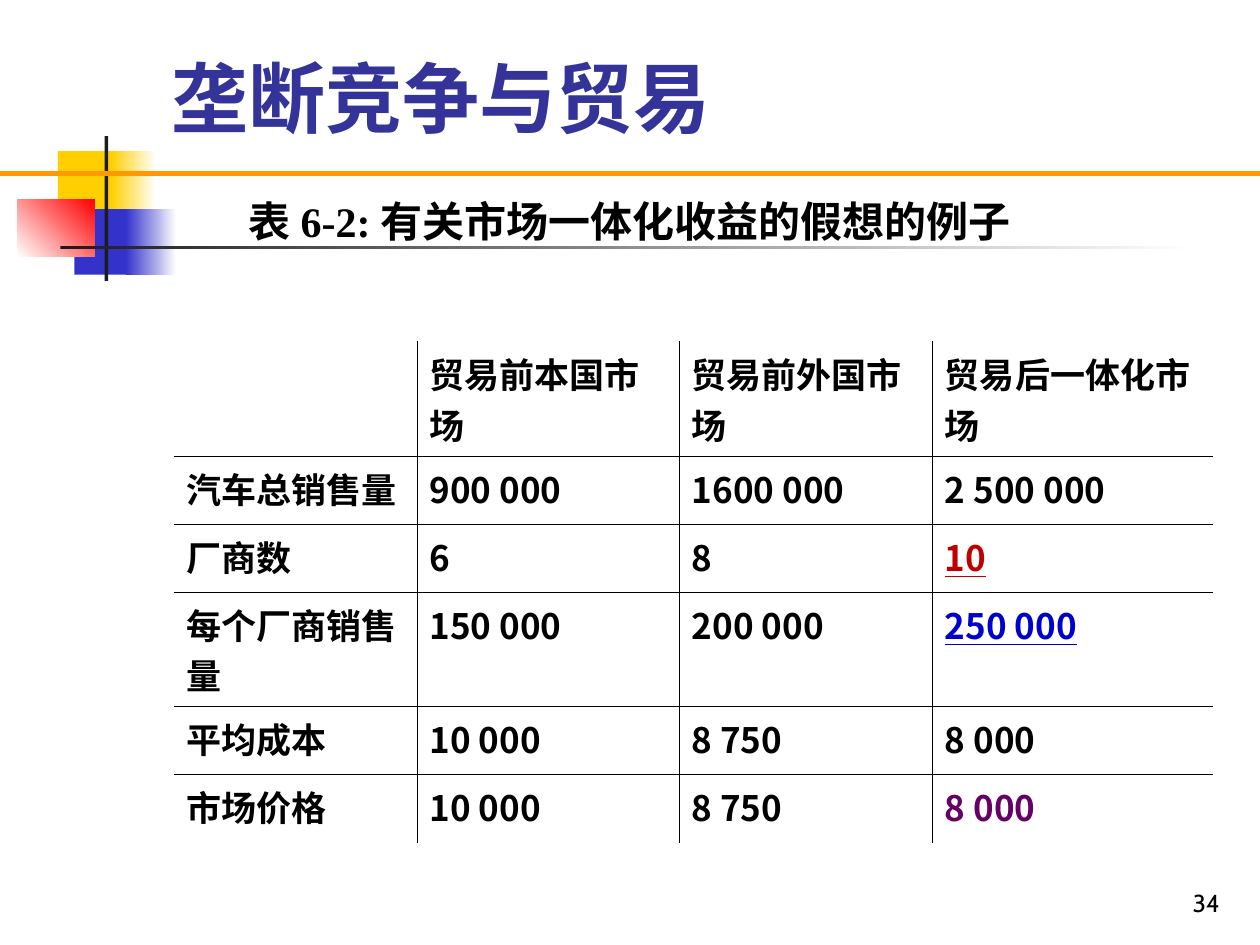
from dataclasses import dataclass
from typing import Optional

from lxml.etree import SubElement
from pptx import Presentation
from pptx.dml.color import RGBColor
from pptx.enum.shapes import MSO_CONNECTOR as Line, MSO_SHAPE as Shape
from pptx.enum.text import MSO_ANCHOR as Anchor, MSO_AUTO_SIZE as Fit, PP_ALIGN as Align
from pptx.oxml.ns import qn
from pptx.util import Inches, Pt


@dataclass(frozen=True)
class Theme:
    """Colours, fonts and type sizes of the slide."""
    white: str = "FFFFFF"
    black: str = "000000"
    title: str = "333399"
    yellow: str = "FFCF01"
    blue: str = "3333CC"
    red: str = "FF0000"
    dark: str = "1C1C1C"
    orange: str = "FF9900"
    firms: str = "C00000"
    output: str = "0000CC"
    price: str = "660066"
    sans: str = "Cabin"
    serif: str = "Times New Roman"
    cjk: str = "Noto Sans CJK SC"
    title_pt: int = 44
    caption_pt: int = 24
    table_pt: int = 20
    number_pt: int = 14
    rule_pt: int = 3
    border_pt: float = 0.45


T = Theme()


@dataclass(frozen=True)
class Block:
    """A plain rectangle, or one fading from color to end."""
    left: float
    top: float
    width: float
    height: float
    color: str
    end: Optional[str] = None
    angle: int = 0


@dataclass(frozen=True)
class Mark:
    """Emphasis of one table cell."""
    color: str = T.black
    underline: bool = False


BLOCKS = [
    Block(0.46, 1.2, 0.48, 0.52, T.yellow),
    Block(0.88, 1.2, 0.36, 0.52, T.yellow, T.white),
    Block(0.59, 1.66, 0.46, 0.52, T.blue),
    Block(1, 1.66, 0.4, 0.52, T.blue, T.white),
    Block(0.14, 1.58, 0.61, 0.46, T.white, T.red, 45),
    Block(0.83, 1.08, 0.03, 1.15, T.dark),
    Block(0.48, 1.95, 9, 0.03, T.dark, T.white),
]
ROWS = [
    ["", "贸易前本国市场", "贸易前外国市场", "贸易后一体化市场"],
    ["汽车总销售量", "900 000", "1600 000", "2 500 000"],
    ["厂商数", "6", "8", "10"],
    ["每个厂商销售量", "150 000", "200 000", "250 000"],
    ["平均成本", "10 000", "8 750", "8 000"],
    ["市场价格", "10 000", "8 750", "8 000"],
]
MARKS = {(2, 3): Mark(T.firms, True), (3, 3): Mark(T.output, True), (5, 3): Mark(T.price)}
COL_WIDTHS = [1.93, 2.08, 2.01, 2.23]
ROW_HEIGHTS = [0.91, 0.54, 0.54, 0.91, 0.54, 0.54]


def write(tf, text: str, font: str, size: int, color: str = T.black,
          align=Align.LEFT, **extra) -> None:
    """Fill a text frame with one formatted run."""
    p = tf.paragraphs[0]
    p.alignment = align
    r = p.add_run()
    r.text = text
    for name, value in {"name": font, "size": Pt(size), **extra}.items():
        setattr(r.font, name, value)
    r.font.color.rgb = RGBColor.from_string(color)
    SubElement(r.font._element, qn("a:ea"), typeface=T.cjk)


def add_block(s, block: Block) -> None:
    """Draw one decorative rectangle."""
    sp = s.shapes.add_shape(Shape.RECTANGLE, Inches(block.left), Inches(block.top),
                            Inches(block.width), Inches(block.height))
    sp.shadow.inherit = False
    sp.line.fill.background()
    if block.end is None:
        sp.fill.solid()
        sp.fill.fore_color.rgb = RGBColor.from_string(block.color)
        return
    sp.fill.gradient()
    sp.fill.gradient_angle = block.angle
    for stop, color in zip(sp.fill.gradient_stops, (block.color, block.end)):
        stop.color.rgb = RGBColor.from_string(color)


def add_rule(s) -> None:
    """Draw the line across the slide."""
    y = Inches(1.38)
    rule = s.shapes.add_connector(Line.STRAIGHT, 0, y, Inches(10), y)
    rule.line.color.rgb = RGBColor.from_string(T.orange)
    rule.line.width = Pt(T.rule_pt)
    SubElement(rule._element.spPr, qn("a:effectLst"))


def add_text(s, left: float, top: float, width: float, height: float,
             text: str, font: str, size: int, align, **extra) -> None:
    """Add a bottom-anchored text box."""
    tf = s.shapes.add_textbox(Inches(left), Inches(top), Inches(width),
                              Inches(height)).text_frame
    tf.word_wrap = True
    tf.vertical_anchor = Anchor.BOTTOM
    write(tf, text, font, size, align=align, **extra)


def set_borders(cell, inner: dict[str, bool]) -> None:
    """Line the inner sides of a cell and leave the outer ones open."""
    tc_pr = cell._tc.get_or_add_tcPr()
    for side, drawn in inner.items():
        ln = SubElement(tc_pr, qn(f"a:ln{side}"), w=str(Pt(T.border_pt)))
        fill = SubElement(ln, qn("a:solidFill" if drawn else "a:noFill"))
        if drawn:
            SubElement(fill, qn("a:srgbClr"), val=T.black)


def add_market_table(s) -> None:
    """Add the table comparing the markets."""
    last_row, last_col = len(ROWS) - 1, len(COL_WIDTHS) - 1
    table = s.shapes.add_table(len(ROWS), len(COL_WIDTHS), Inches(1.38), Inches(2.71),
                               Inches(sum(COL_WIDTHS)), Inches(sum(ROW_HEIGHTS))).table
    table.first_row = table.horz_banding = False
    for col, width in zip(table.columns, COL_WIDTHS):
        col.width = Inches(width)
    for row, height in zip(table.rows, ROW_HEIGHTS):
        row.height = Inches(height)
    for i, values in enumerate(ROWS):
        for j, text in enumerate(values):
            cell = table.cell(i, j)
            set_borders(cell, {"L": j > 0, "R": j < last_col, "T": i > 0, "B": i < last_row})
            cell.fill.background()
            if text:
                mark = MARKS.get((i, j), Mark())
                write(cell.text_frame, text, T.cjk, T.table_pt, mark.color,
                      bold=True, underline=mark.underline)


def add_title(s) -> None:
    """Place and format the slide title."""
    sp = s.shapes.title
    box = {"left": 1.26, "top": 0.23, "width": 8.52, "height": 1.07}
    for name, value in box.items():
        setattr(sp, name, Inches(value))
    tf = sp.text_frame
    tf.auto_size = Fit.NONE
    tf.vertical_anchor = Anchor.MIDDLE
    write(tf, "垄断竞争与贸易", T.sans, T.title_pt, T.title, bold=True)


def main() -> None:
    """Build and save the slide."""
    prs = Presentation()
    prs.slide_width, prs.slide_height = Inches(10), Inches(7.5)
    s = prs.slides.add_slide(prs.slide_layouts[5])
    for block in BLOCKS:
        add_block(s, block)
    add_rule(s)
    add_text(s, 7.7, 6.83, 2.08, 0.5, "34", T.sans, T.number_pt, Align.RIGHT)
    add_text(s, 0, 1.42, 10, 0.58, "表 6-2: 有关市场一体化收益的假想的例子",
             T.serif, T.caption_pt, Align.CENTER, bold=True)
    add_title(s)
    add_market_table(s)
    prs.save("out.pptx")


if __name__ == "__main__":
    main()
